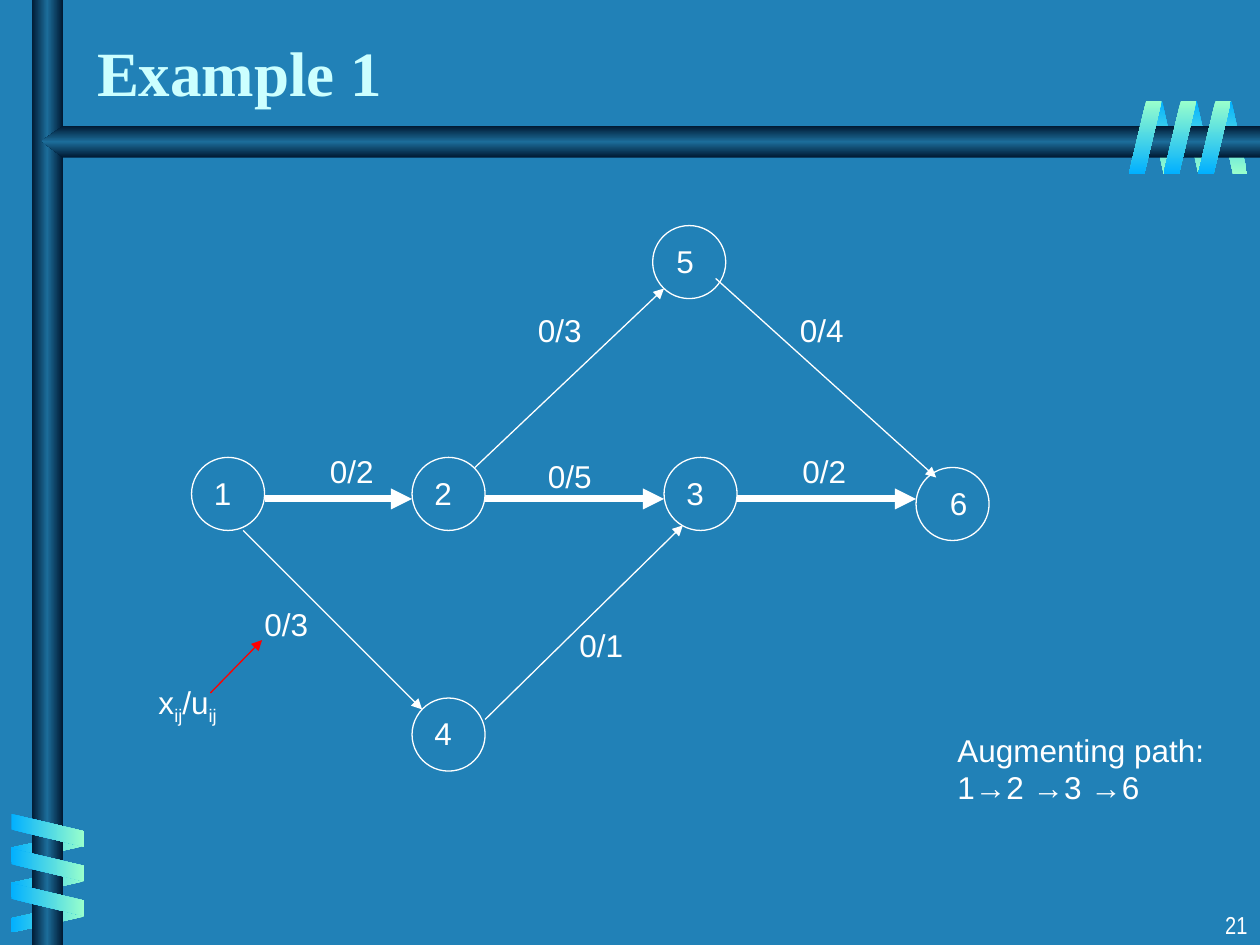
"""Build the slide that shows an augmenting path in a flow network."""
from lxml import etree
from pptx import Presentation
from pptx.dml.color import RGBColor
from pptx.enum.shapes import MSO_CONNECTOR, MSO_SHAPE
from pptx.enum.text import MSO_ANCHOR, MSO_AUTO_SIZE, PP_ALIGN
from pptx.oxml.ns import qn
from pptx.util import Pt

PX = 9144
LINE = MSO_CONNECTOR.STRAIGHT
RECT, OVAL, SLANT = MSO_SHAPE.RECTANGLE, MSO_SHAPE.OVAL, MSO_SHAPE.PARALLELOGRAM
BASE, FIT = MSO_ANCHOR.BOTTOM, MSO_AUTO_SIZE.SHAPE_TO_FIT_TEXT
LEFT, RIGHT = PP_ALIGN.LEFT, PP_ALIGN.RIGHT
HEX = {"back": "2181B7", "dark": "001932", "mid": "1C6D9A", "blue": "01B0FF",
       "mint": "99FFCC", "title": "CCFFFF", "white": "FFFFFF", "red": "FF0000"}
RGB = {name: RGBColor.from_string(code) for name, code in HEX.items()}


def shade(shape, names, angle):
    shape.shadow.inherit = False
    shape.line.fill.background()
    fill = etree.Element(qn("a:gradFill"), rotWithShape="0")
    stops = etree.SubElement(fill, qn("a:gsLst"))
    for i, name in enumerate(names):
        stop = etree.SubElement(stops, qn("a:gs"), pos=str(100000 * i // (len(names) - 1)))
        etree.SubElement(stop, qn("a:srgbClr"), val=HEX[name])
    etree.SubElement(fill, qn("a:lin"), ang=str(angle * 60000), scaled="0")
    shape._element.spPr.insert(2, fill)


def label(x, y, wide, high, lines, face="Arial", size=18, align=LEFT):
    box = slide.shapes.add_textbox(x * PX, y * PX, wide * PX, high * PX)
    frame = box.text_frame
    frame.word_wrap = False
    frame.auto_size = FIT
    frame.text = lines
    for para in frame.paragraphs:
        para.alignment = align
        para.font.name, para.font.size = face, Pt(size)
        para.font.color.rgb = RGB["white"]
    return frame


deck = Presentation()
deck.slide_width, deck.slide_height = 1000 * PX, 750 * PX
slide = deck.slides.add_slide(deck.slide_layouts[5])
slide.background.fill.solid()
slide.background.fill.fore_color.rgb = RGB["back"]
shapes = slide.shapes

title = shapes.title
title.left, title.top, title.width, title.height = 67 * PX, 17 * PX, 830 * PX, 75 * PX
title.text_frame.text = "Example 1"
title.text_frame.vertical_anchor = BASE
para = title.text_frame.paragraphs[0]
para.alignment = LEFT
para.font.name, para.font.size, para.font.bold = "Times New Roman", Pt(36), True
para.font.color.rgb = RGB["title"]

down, up = ("mint", "blue"), ("blue", "mint")
behind = [(966 - 27.5 * i, 80, 24, 0, up, 90) for i in range(3)]
behind += [(26, 643 + 28 * i, 24, 90, down, 0) for i in range(3)]
front = [(25, 630 + 27.5 * i, 26, 270, up, 0) for i in range(3)]
front += [(951 - 27.5 * i, 80, 26, 0, down, 90) for i in range(3)]

for group in (behind, front):
    for x, y, wide, turn, names, angle in group:
        band = shapes.add_shape(SLANT, int(x * PX), int(y * PX), wide * PX, 58 * PX)
        band.adjustments[0] = 0.53
        band.rotation = turn
        if group is behind:
            band._element.spPr.xfrm.set("flipH", "1")
        shade(band, names, angle)
    if group is behind:
        post = shapes.add_shape(RECT, 25 * PX, 0, 25 * PX, 750 * PX)
        shade(post, ("dark", "mid", "dark"), 0)
        pen = shapes.build_freeform(1000, 100, scale=PX)
        pen.add_line_segments([(50, 100), (33, 112), (50, 125), (1000, 125)])
        shade(pen.convert_to_shape(), ("dark", "mid", "dark"), 90)

label(792, 717, 208, 33, "21", "Arial Narrow", 14, RIGHT)

nodes = [("1", 152, 363, 8), ("2", 327, 363, 8), ("3", 527, 363, 8),
         ("4", 327, 554, 8), ("5", 518, 179, 9), ("6", 727, 371, 17)]
for name, x, y, shift in nodes:
    node = shapes.add_shape(OVAL, x * PX, y * PX, 58 * PX, 58 * PX)
    node.shadow.inherit = False
    node.fill.background()
    node.line.color.rgb = RGB["white"]
    node.line.width = Pt(0.75)
    label(x + shift, y + 8, 34, 40, name)

edges = [(193, 421, 335, 563, "white", 0.75), (210, 396, 327, 396, "white", 4),
         (377, 371, 527, 229, "white", 0.75), (385, 396, 527, 396, "white", 4),
         (385, 571, 542, 417, "white", 0.75), (585, 396, 727, 396, "white", 4),
         (568, 221, 743, 379, "white", 0.75), (167, 550, 208, 508, "red", 0.75)]
for x, y, right, low, name, width in edges:
    edge = shapes.add_connector(LINE, x * PX, y * PX, right * PX, low * PX)
    edge.line.color.rgb = RGB[name]
    edge.line.width = Pt(width)
    etree.SubElement(edge.line._get_or_add_ln(), qn("a:tailEnd"), type="triangle")
    etree.SubElement(edge._element.spPr, qn("a:effectLst"))

flows = [("0/2", 252, 354), ("0/2", 627, 354), ("0/3", 200, 475), ("0/1", 450, 492),
         ("0/5", 425, 358), ("0/3", 417, 242), ("0/4", 625, 242)]
for flow, x, y in flows:
    label(x, y, 55, 40, flow)

label(750, 575, 216, 70, "Augmenting path:\n1→2 →3 →6")
key = label(116, 537, 66, 44, "").paragraphs[0]
for part in ("x", "ij", "/u", "ij"):
    run = key.add_run()
    run.text = part
    if part == "ij":
        run._r.get_or_add_rPr().set("baseline", "-25000")

deck.save("out.pptx")
